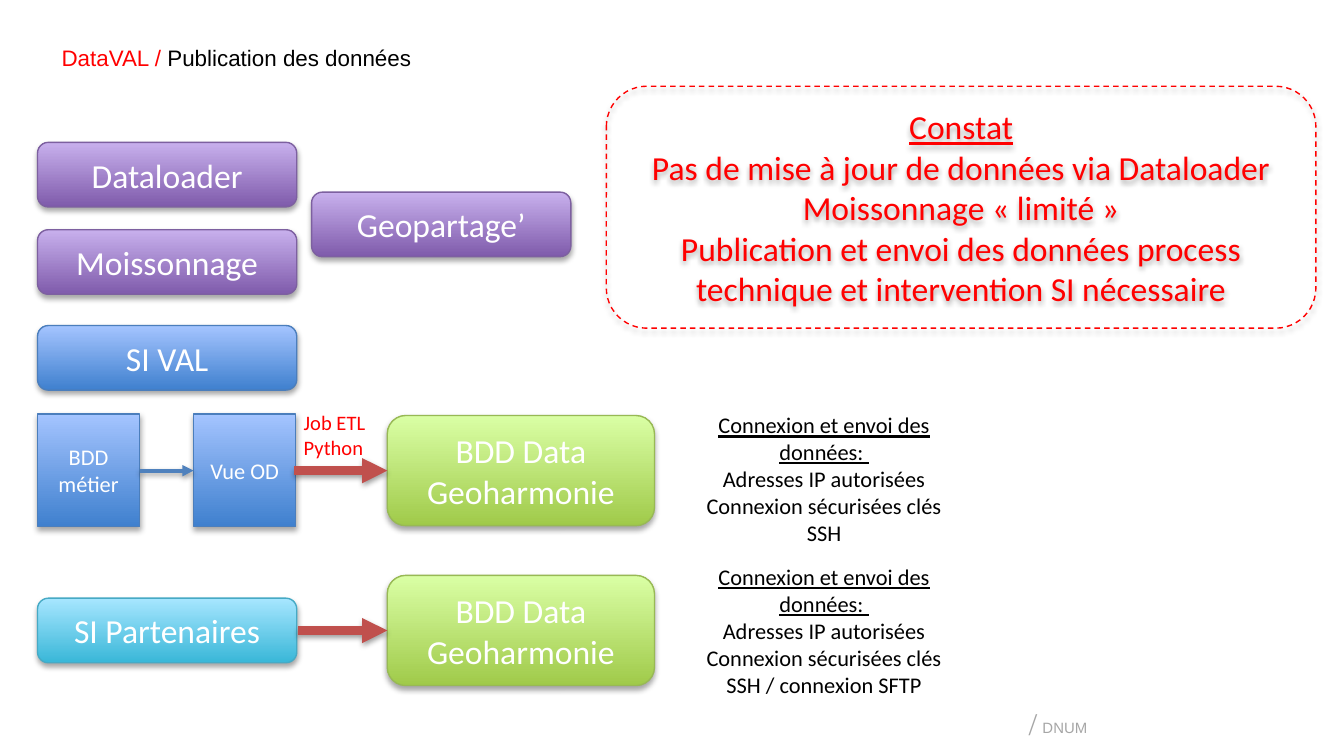
"""Build the slide that shows how data reaches the open data platform."""
from lxml import etree
from pptx import Presentation
from pptx import util as u
from pptx.dml.color import RGBColor
from pptx.enum import dml, shapes, text
from pptx.oxml import ns

COLOURS = {
    "red": "FF0000", "black": "000000", "white": "FFFFFF", "grey": "A6A6A6",
    "blue arrow": "4F81BD", "red arrow": "C0504D",
}
GRADIENTS = {
    "purple": ("7F5BAB", "C8B0ED", "7D60A0"),
    "blue": ("3F80CE", "A4C4FF", "4B7EBC"),
    "green": ("A0CA4A", "DAFFA5", "98B955"),
    "cyan": ("39B7D8", "A7E6FF", "46AAC5"),
}
LEFT = 0.71
BUTTON = (4.9, 1.22)
SQUARE = (1.93, 2.13)
DATABASE = (5.05, 2.08)
NOTE = (5.49, 2.82)
DATABASE_LEFT = 7.32


def rgb(name):
    """Return the colour with this name."""
    return RGBColor.from_string(COLOURS[name])


def format_run(run, size, colour, font="Calibri", underline=None):
    """Set the font of one run."""
    run.font.name = font
    run.font.size = u.Pt(size)
    run.font.color.rgb = rgb(colour)
    run.font.underline = underline


def fill_text(shape, lines, size, colour, align=None, heading=False):
    """Write lines as paragraphs, the first underlined if it is a heading."""
    frame = shape.text_frame
    frame.word_wrap = True
    frame.text = "\n".join(lines)
    for index, paragraph in enumerate(frame.paragraphs):
        paragraph.alignment = align
        underline = True if heading and index == 0 else None
        format_run(paragraph.runs[0], size, colour, underline=underline)


def add_shadow(shape, opacity, distance):
    """Give a shape or connector a soft shadow straight below it."""
    effects = etree.SubElement(shape._element.spPr, ns.qn("a:effectLst"))
    shadow = etree.SubElement(
        effects, ns.qn("a:outerShdw"), blurRad=str(u.Pt(3.1)),
        dist=str(u.Pt(distance)), dir="5400000", rotWithShape="0")
    colour = etree.SubElement(shadow, ns.qn("a:srgbClr"), val=COLOURS["black"])
    etree.SubElement(colour, ns.qn("a:alpha"), val=str(opacity * 1000))


def add_box(slide, left, top, size, label, gradient, font_size=18,
            kind=shapes.MSO_SHAPE.ROUNDED_RECTANGLE):
    """Add a labelled box with a vertical gradient."""
    box = slide.shapes.add_shape(kind, *map(u.Cm, (left, top, *size)))
    bottom, top_colour, outline = GRADIENTS[gradient]
    box.fill.gradient()
    box.fill.gradient_angle = 90
    for stop, position, colour in zip(
            box.fill.gradient_stops, (0, 1), (bottom, top_colour)):
        stop.position = position
        stop.color.rgb = RGBColor.from_string(colour)
    box.line.color.rgb = RGBColor.from_string(outline)
    box.line.width = u.Pt(0.75)
    add_shadow(box, 35, 1.8)
    fill_text(box, [label], font_size, "white", text.PP_ALIGN.CENTER)


def add_arrow(slide, start, end, y, colour, width):
    """Add a horizontal arrow."""
    arrow = slide.shapes.add_connector(
        shapes.MSO_CONNECTOR.STRAIGHT, *map(u.Cm, (start, y, end, y)))
    arrow.line.color.rgb = rgb(colour)
    arrow.line.width = u.Pt(width)
    etree.SubElement(arrow.line._get_or_add_ln(), ns.qn("a:tailEnd"), type="triangle")
    add_shadow(arrow, 38, 1.6)


def add_text(slide, left, top, size):
    """Add an empty text box."""
    return slide.shapes.add_textbox(*map(u.Cm, (left, top, *size)))


def add_note(slide, top, connection):
    """Add the note on how data is sent to a database."""
    lines = ["Connexion et envoi des données: ", "Adresses IP autorisées", connection]
    fill_text(add_text(slide, 12.83, top, NOTE), lines, 12, "black",
              text.PP_ALIGN.CENTER, heading=True)


def add_finding(slide, lines):
    """Add the dashed frame with the findings."""
    frame = slide.shapes.add_shape(
        shapes.MSO_SHAPE.ROUNDED_RECTANGLE, *map(u.Cm, (11.46, 1.63, 13.41, 4.57)))
    frame.fill.background()
    frame.line.color.rgb = rgb("red")
    frame.line.width = u.Pt(0.75)
    frame.line.dash_style = dml.MSO_LINE.DASH
    add_shadow(frame, 35, 1.8)
    fill_text(frame, lines, 18, "red", text.PP_ALIGN.CENTER, heading=True)


def add_two_tone(paragraph, parts):
    """Add runs given as wording, size, colour and font."""
    for wording, *style in parts:
        run = paragraph.add_run()
        run.text = wording
        format_run(run, *style)


def set_title(slide):
    """Place and format the title."""
    title = slide.shapes.title
    title.left, title.top, title.width, title.height = map(u.Cm, (0.91, 0.71, 16.38, 0.76))
    frame = title.text_frame
    frame.auto_size = text.MSO_AUTO_SIZE.NONE
    frame.vertical_anchor = text.MSO_ANCHOR.MIDDLE
    frame.paragraphs[0].alignment = text.PP_ALIGN.LEFT
    add_two_tone(frame.paragraphs[0], [
        ("DataVAL / ", 12, "red", "Arial"),
        ("Publication des données", 12, "black", "Arial")])


def main():
    """Build and save the presentation."""
    presentation = Presentation()
    presentation.slide_width, presentation.slide_height = u.Cm(25.4), u.Cm(14.28)
    slide = presentation.slides.add_slide(presentation.slide_layouts[5])
    set_title(slide)
    footer = add_text(slide, 19.2, 13.31, (8.03, 1.12))
    add_two_tone(footer.text_frame.paragraphs[0], [
        ("/ ", 12, "grey", "Montserrat"), ("DNUM", 8, "grey", "Arial")])

    for left, top, label, gradient in (
            (LEFT, 2.69, "Dataloader", "purple"),
            (LEFT, 4.34, "Moissonnage", "purple"),
            (5.89, 3.63, "Geopartage’", "purple"),
            (LEFT, 6.15, "SI VAL", "blue"),
            (LEFT, 11.3, "SI Partenaires", "cyan")):
        add_box(slide, left, top, BUTTON, label, gradient)
    for left, label in ((LEFT, "BDD métier"), (3.66, "Vue OD")):
        add_box(slide, left, 7.82, SQUARE, label, "blue", 12, shapes.MSO_SHAPE.RECTANGLE)
    for top in (7.85, 10.87):
        add_box(slide, DATABASE_LEFT, top, DATABASE, "BDD Data Geoharmonie", "green")

    add_arrow(slide, 2.64, 3.66, 8.89, "blue arrow", 2)
    add_arrow(slide, 5.56, DATABASE_LEFT, 8.89, "red arrow", 4.5)
    add_arrow(slide, 5.64, DATABASE_LEFT, 11.91, "red arrow", 4.5)
    fill_text(add_text(slide, 5.49, 7.62, (3.2, 1.19)), ["Job ETL", "Python"], 11, "red")

    add_note(slide, 7.65, "Connexion sécurisées clés SSH")
    add_note(slide, 10.52, "Connexion sécurisées clés SSH / connexion SFTP")
    add_finding(slide, [
        "Constat",
        "Pas de mise à jour de données via Dataloader",
        "Moissonnage « limité »",
        "Publication et envoi des données process technique et intervention SI nécessaire"])
    presentation.save("out.pptx")


if __name__ == "__main__":
    main()
